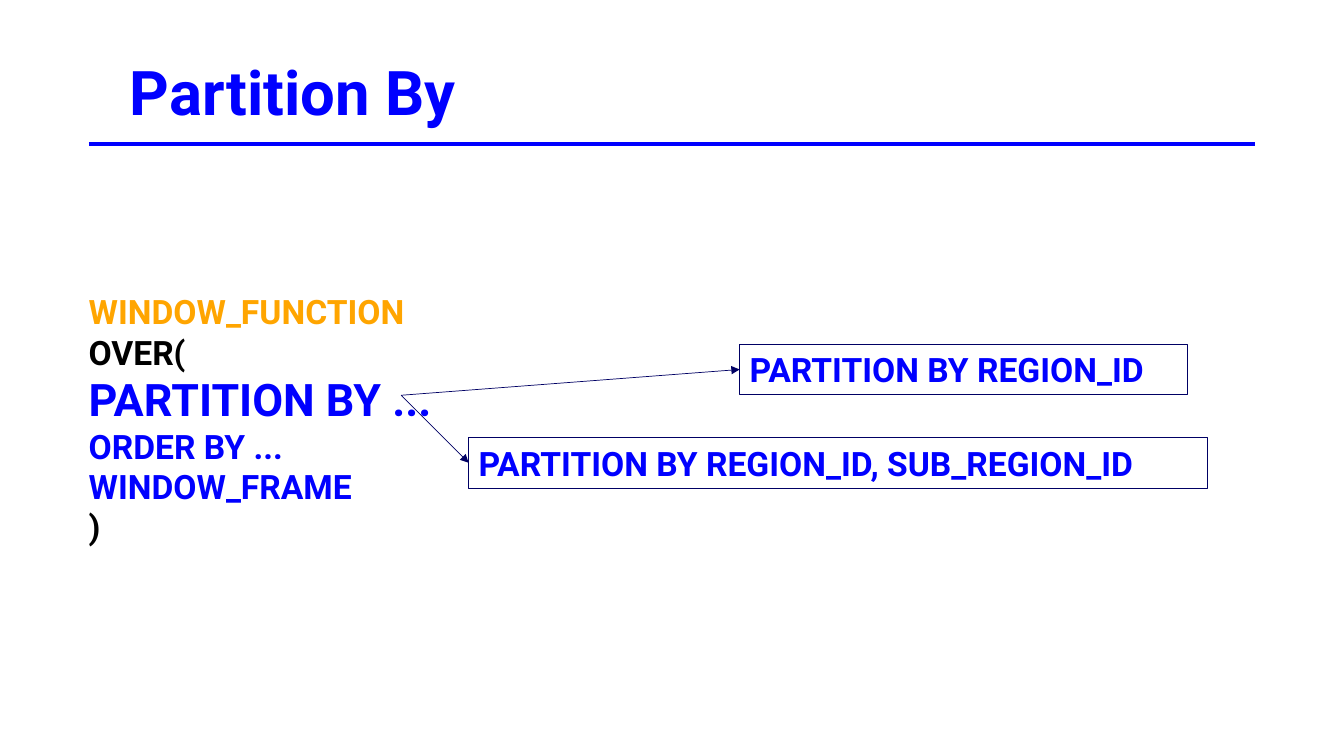
from dataclasses import dataclass

from lxml import etree
from pptx import Presentation
from pptx import util as u
from pptx.dml.color import RGBColor
from pptx.enum import shapes, text
from pptx.oxml.ns import qn


@dataclass(frozen=True)
class Theme:
    font: str = "Roboto"
    blue: RGBColor = RGBColor(0x00, 0x00, 0xFF)
    navy: RGBColor = RGBColor(0x00, 0x00, 0x64)
    orange: RGBColor = RGBColor(0xFF, 0xA5, 0x00)
    black: RGBColor = RGBColor(0x00, 0x00, 0x00)
    white: RGBColor = RGBColor(0xFF, 0xFF, 0xFF)
    title_size: int = 44
    large_size: int = 32
    code_size: int = 24


theme = Theme()


def add_text(paragraph, wording, size, color):
    paragraph.alignment = text.PP_ALIGN.LEFT
    run = paragraph.add_run()
    run.text = wording
    run.font.name = theme.font
    run.font.size = u.Pt(size)
    run.font.bold = True
    run.font.color.rgb = color


def add_line(slide, start, end, color, width):
    line = slide.shapes.add_connector(
        shapes.MSO_CONNECTOR.STRAIGHT, *(u.Cm(value) for value in start + end))
    line.line.color.rgb = color
    line.line.width = u.Pt(width)
    etree.SubElement(line._element.spPr, qn("a:effectLst"))
    return line


presentation = Presentation()
presentation.slide_width = u.Cm(33.87)
presentation.slide_height = u.Cm(19.05)
slide = presentation.slides.add_slide(presentation.slide_layouts[1])

# Title and its rule
title = slide.shapes.title
title.left, title.top, title.width, title.height = map(u.Cm, (3.02, 1.3, 27.66, 1.96))
title.fill.solid()
title.fill.fore_color.rgb = theme.white
title.text_frame.auto_size = text.MSO_AUTO_SIZE.NONE
title.text_frame.vertical_anchor = text.MSO_ANCHOR.MIDDLE
add_text(title.text_frame.paragraphs[0], "Partition By", theme.title_size, theme.blue)
add_line(slide, (2.24, 3.63), (31.62, 3.63), theme.blue, 3)

# Window function syntax
syntax = slide.placeholders[1]
syntax.left, syntax.top, syntax.width, syntax.height = map(u.Cm, (1.98, 7.21, 10.74, 6.76))
syntax.text_frame.auto_size = text.MSO_AUTO_SIZE.NONE
syntax_lines = [
    ("WINDOW_FUNCTION", theme.code_size, theme.orange),
    ("OVER(", theme.code_size, theme.black),
    ("PARTITION BY ...", theme.large_size, theme.blue),
    ("ORDER BY ...", theme.code_size, theme.blue),
    ("WINDOW_FRAME", theme.code_size, theme.blue),
    (")", theme.code_size, theme.black),
]
for index, (wording, size, color) in enumerate(syntax_lines):
    frame = syntax.text_frame
    paragraph = frame.paragraphs[0] if index == 0 else frame.add_paragraph()
    paragraph.space_before = u.Pt(0)
    add_text(paragraph, wording, size, color)
    properties = paragraph._p.get_or_add_pPr()
    properties.set("marL", "0")
    properties.set("indent", "0")
    etree.SubElement(properties, qn("a:buNone"))

# Examples, each with an arrow from the PARTITION BY line
arrow_start = (10.11, 9.96)
box_height = 1.28
examples = [
    ("PARTITION BY REGION_ID", 18.64, 8.67, 11.3),
    ("PARTITION BY REGION_ID, SUB_REGION_ID", 11.81, 11.02, 18.62),
]
for wording, left, top, width in examples:
    box = slide.shapes.add_shape(
        shapes.MSO_SHAPE.RECTANGLE, u.Cm(left), u.Cm(top), u.Cm(width), u.Cm(box_height))
    box.shadow.inherit = False
    box.fill.background()
    box.line.color.rgb = theme.navy
    box.line.width = u.Pt(0.75)
    box.text_frame.word_wrap = True
    box.text_frame.vertical_anchor = text.MSO_ANCHOR.MIDDLE
    add_text(box.text_frame.paragraphs[0], wording, theme.code_size, theme.blue)

    arrow = add_line(slide, arrow_start, (left, top + box_height / 2), theme.navy, 0.5)
    etree.SubElement(arrow.line._get_or_add_ln(), qn("a:tailEnd"), type="triangle")

presentation.save("out.pptx")
